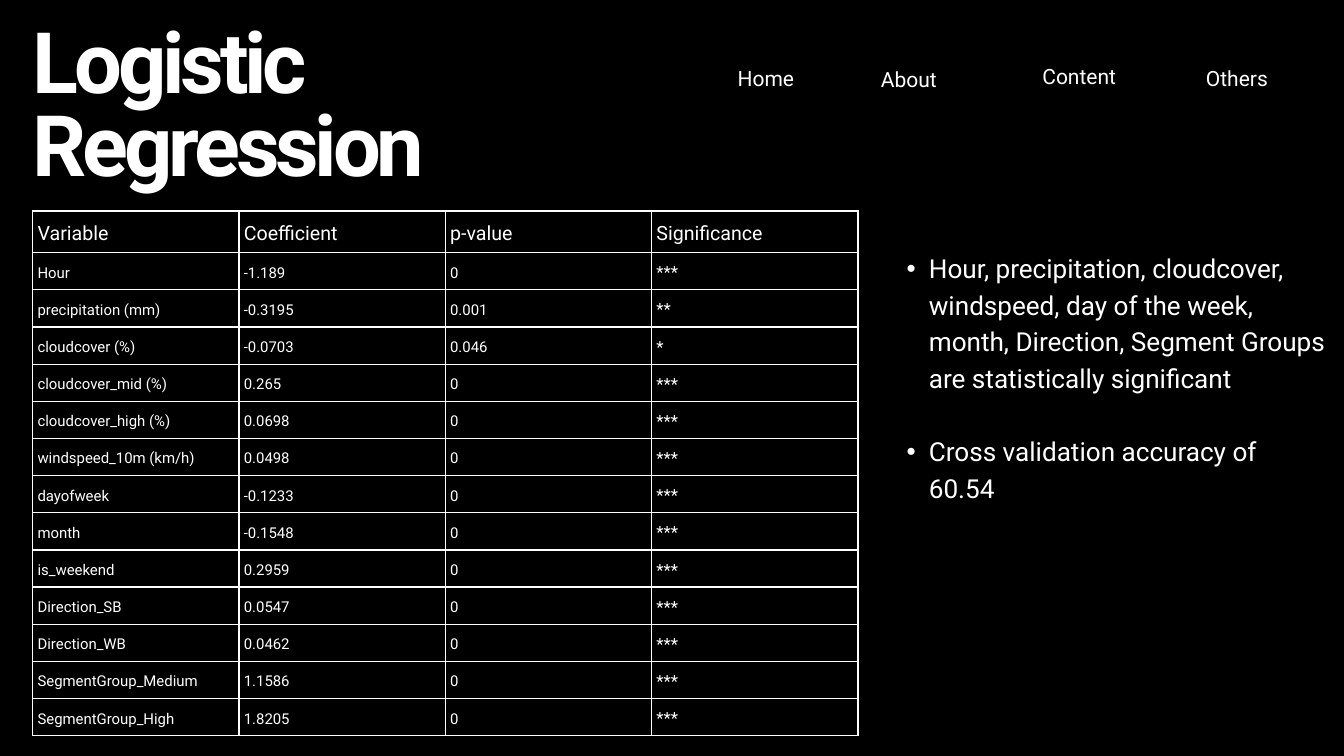
from pptx import Presentation
from pptx.dml.color import RGBColor
from pptx.enum.text import MSO_ANCHOR, MSO_AUTO_SIZE, PP_ALIGN
from pptx.oxml import parse_xml
from pptx.oxml.ns import nsdecls
from pptx.util import Cm, Pt

LEFT, CENTER, RIGHT = PP_ALIGN.LEFT, PP_ALIGN.CENTER, PP_ALIGN.RIGHT
TOP, MIDDLE = MSO_ANCHOR.TOP, MSO_ANCHOR.MIDDLE
NO_AUTOFIT = MSO_AUTO_SIZE.NONE

COLORS = {"background": "000000", "text": "FFFFFF", "border": "FFFFFF"}
FONT = "Roboto"

HEADERS = ["Variable", "Coefficient", "p-value", "Significance"]
RESULTS = [
    ("Hour", "-1.189", "0", "***"),
    ("precipitation (mm)", "-0.3195", "0.001", "**"),
    ("cloudcover (%)", "-0.0703", "0.046", "*"),
    ("cloudcover_mid (%)", "0.265", "0", "***"),
    ("cloudcover_high (%)", "0.0698", "0", "***"),
    ("windspeed_10m (km/h)", "0.0498", "0", "***"),
    ("dayofweek", "-0.1233", "0", "***"),
    ("month", "-0.1548", "0", "***"),
    ("is_weekend", "0.2959", "0", "***"),
    ("Direction_SB", "0.0547", "0", "***"),
    ("Direction_WB", "0.0462", "0", "***"),
    ("SegmentGroup_Medium", "1.1586", "0", "***"),
    ("SegmentGroup_High", "1.8205", "0", "***"),
]
NAVIGATION = [
    ("Home", 0, 0.05, 4.62, RIGHT),
    ("About", 6.3, 0.08, 5.31, CENTER),
    ("Content", 12.73, 0, 5.33, CENTER),
    ("Others", 16.36, 0.05, 6.17, RIGHT),
]
FINDINGS = [
    "Hour, precipitation, cloudcover, windspeed, day of the week, month, "
    "Direction, Segment Groups are statistically significant",
    "Cross validation accuracy of 60.54",
]


def format_paragraph(paragraph, size, leading, align=LEFT, bold=False):
    paragraph.alignment = align
    paragraph.line_spacing = Pt(leading)
    paragraph.space_before = Pt(0)
    paragraph.font.name = FONT
    paragraph.font.size = Pt(size)
    paragraph.font.bold = bold
    paragraph.font.color.rgb = RGBColor.from_string(COLORS["text"])


def place(shape, left, top, width, height):
    shape.left, shape.top = Cm(left), Cm(top)
    shape.width, shape.height = Cm(width), Cm(height)
    frame = shape.text_frame
    frame.margin_left = frame.margin_right = 0
    frame.margin_top = frame.margin_bottom = 0
    frame.word_wrap = True
    frame.auto_size = NO_AUTOFIT
    frame.vertical_anchor = TOP
    return frame


def fill_title(slide, left, top, width, height):
    frame = place(slide.shapes.title, left, top, width, height)
    paragraph = frame.paragraphs[0]
    run = paragraph.add_run()
    run.text = "Logistic Regression"
    run._r.get_or_add_rPr().set("spc", "-450")
    format_paragraph(paragraph, 90.8, 89, bold=True)


def add_navigation(slide, left, top, height):
    for label, offset_x, offset_y, width, align in NAVIGATION:
        box = slide.shapes.add_textbox(0, 0, 0, 0)
        frame = place(box, left + offset_x, top + offset_y, width, height)
        frame.text = label
        format_paragraph(frame.paragraphs[0], 22.5, 31.5, align)


def add_borders(cell):
    properties = cell._tc.get_or_add_tcPr()
    for side in ("lnL", "lnR", "lnT", "lnB"):
        properties.append(parse_xml(
            f'<a:{side} {nsdecls("a")} w="{Pt(1.5)}"><a:solidFill>'
            f'<a:srgbClr val="{COLORS["border"]}"/></a:solidFill></a:{side}>'))


def add_results_table(slide, left, top, width, height):
    rows = [HEADERS, *RESULTS]
    header_height = 1.57
    row_height = (height - header_height) / len(RESULTS)
    table = slide.shapes.add_table(
        len(rows), len(HEADERS), Cm(left), Cm(top), Cm(width), Cm(height)).table
    for column in table.columns:
        column.width = Cm(width / len(HEADERS))
    for row_index, values in enumerate(rows):
        is_header = row_index == 0
        table.rows[row_index].height = Cm(header_height if is_header else row_height)
        for column_index, value in enumerate(values):
            cell = table.cell(row_index, column_index)
            cell.margin_left = cell.margin_right = Cm(0.18)
            cell.margin_top = cell.margin_bottom = Cm(0.18)
            cell.vertical_anchor = MIDDLE
            add_borders(cell)
            cell.fill.background()
            cell.text = value
            is_last = column_index == len(HEADERS) - 1
            size = 21 if is_header else 18 if is_last else 16
            format_paragraph(cell.text_frame.paragraphs[0], size, size * 1.4)


def fill_findings(slide, left, top, width, height):
    frame = place(slide.placeholders[1], left, top, width, height)
    frame.text = "\n".join(FINDINGS)
    leading = 39.2
    for index, paragraph in enumerate(frame.paragraphs):
        properties = paragraph._p.get_or_add_pPr()
        properties.set("marL", str(Cm(1.68)))
        properties.set("indent", str(Cm(-0.84)))
        properties.append(parse_xml(f'<a:buFont {nsdecls("a")} typeface="Arial"/>'))
        properties.append(parse_xml(f'<a:buChar {nsdecls("a")} char="•"/>'))
        format_paragraph(paragraph, 28, leading)
        paragraph.space_before = Pt(leading if index else 0)


def main():
    presentation = Presentation()
    presentation.slide_width, presentation.slide_height = Cm(50.8), Cm(28.58)
    slide = presentation.slides.add_slide(presentation.slide_layouts[1])
    background = slide.background.fill
    background.solid()
    background.fore_color.rgb = RGBColor.from_string(COLORS["background"])
    add_results_table(slide, 1.24, 7.98, 31.19, 19.84)
    fill_title(slide, 1.24, 1.04, 20.7, 6.4)
    add_navigation(slide, 25.4, 2.26, 1.12)
    fill_findings(slide, 33.43, 9.35, 16.66, 9.65)
    presentation.save("out.pptx")


if __name__ == "__main__":
    main()
